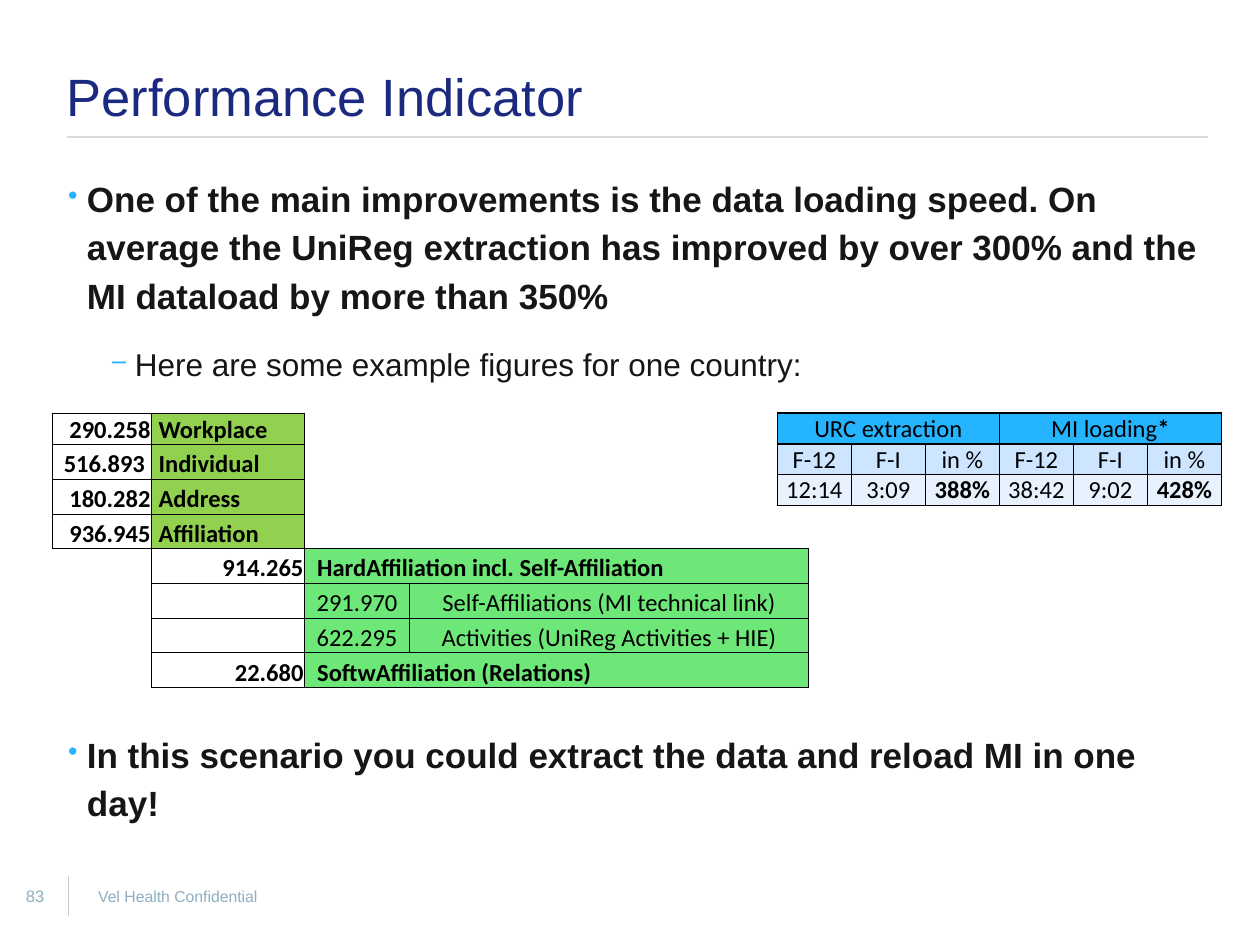
from dataclasses import dataclass
from typing import Optional

from lxml.etree import SubElement
from pptx import Presentation
from pptx.dml.color import RGBColor
from pptx.enum.shapes import MSO_CONNECTOR
from pptx.enum.text import MSO_ANCHOR, PP_ALIGN
from pptx.oxml import parse_xml
from pptx.oxml.ns import nsdecls, qn
from pptx.util import Pt

NAVY = RGBColor(0x1C, 0x29, 0x80)
INK = RGBColor(0x16, 0x17, 0x14)
BLACK = RGBColor(0, 0, 0)
WHITE = RGBColor(0xFF, 0xFF, 0xFF)
FOOTER_BLUE = RGBColor(0x8E, 0xAF, 0xBF)
SKY = RGBColor(0x25, 0xB4, 0xFF)
PALE_BLUE = RGBColor(0xCD, 0xE5, 0xFF)
FAINT_BLUE = RGBColor(0xE8, 0xF2, 0xFF)
OLIVE = RGBColor(0x92, 0xD0, 0x50)
GREEN = RGBColor(0x6D, 0xE7, 0x78)
TITLE_RULE = RGBColor(0xD9, 0xDA, 0xD5)
FOOTER_RULE = RGBColor(0xCA, 0xCC, 0xC5)
PLAIN_TABLE_STYLE = "{2D5ABB26-0587-4C30-8999-92F81FD0307C}"


@dataclass
class Cell:
    row: int
    column: int
    text: str = ""
    fill: RGBColor = WHITE
    align: PP_ALIGN = PP_ALIGN.CENTER
    bold: bool = False
    span: int = 1
    left: float = 0.7
    right: float = 0.7
    bold_suffix: str = ""


@dataclass
class SlideBuilder:
    slide: object
    font: str = "Arial"
    table_font: str = "Calibri"
    table_size: float = 14

    def style(self, paragraph, size, color, bold=False, font=None):
        paragraph.font.name = font or self.font
        paragraph.font.size = Pt(size)
        paragraph.font.bold = bold
        paragraph.font.color.rgb = color

    def frame(self, left, top, width, height, anchor=MSO_ANCHOR.TOP, inset=(0, 0)):
        """Add a wrapping text box; inset is horizontal, vertical."""
        box = self.slide.shapes.add_textbox(Pt(left), Pt(top), Pt(width), Pt(height))
        frame = box.text_frame
        frame.word_wrap = True
        frame.vertical_anchor = anchor
        frame.margin_left = frame.margin_right = Pt(inset[0])
        frame.margin_top = frame.margin_bottom = Pt(inset[1])
        return frame

    def text(self, words, area, size, color, align=PP_ALIGN.LEFT, spacing=1.0, **box):
        paragraph = self.frame(*area, **box).paragraphs[0]
        paragraph.text = words
        paragraph.alignment = align
        paragraph.line_spacing = spacing
        self.style(paragraph, size, color)

    def bullet(self, paragraph, words, mark, margin, hanging, size, bold, before, level=0):
        paragraph.text = words
        paragraph.level = level
        properties = paragraph._p.get_or_add_pPr()
        properties.set("marL", str(Pt(margin)))
        properties.set("indent", str(-Pt(hanging)))
        color = SubElement(properties, qn("a:buClr"))
        SubElement(color, qn("a:srgbClr"), val=str(SKY))
        SubElement(properties, qn("a:buSzPct"), val="80000")
        SubElement(properties, qn("a:buChar"), char=mark)
        paragraph.line_spacing = 1.15
        paragraph.space_before = Pt(before)
        self.style(paragraph, size, INK, bold)

    def line(self, start, end, color, width):
        line = self.slide.shapes.add_connector(
            MSO_CONNECTOR.STRAIGHT, *(Pt(value) for value in (*start, *end)))
        line.line.color.rgb = color
        line.line.width = Pt(width)
        SubElement(line._element.spPr, qn("a:effectLst"))

    def border(self, cell, width):
        properties = cell._tc.get_or_add_tcPr()
        for position, side in enumerate("LRTB"):
            properties.insert(position, parse_xml(
                f'<a:ln{side} {nsdecls("a")} w="{Pt(width)}"><a:solidFill>'
                f'<a:srgbClr val="{BLACK}"/></a:solidFill></a:ln{side}>'))

    def table(self, left, top, widths, heights, cells, border_width):
        frame = self.slide.shapes.add_table(
            len(heights), len(widths), Pt(left), Pt(top), Pt(sum(widths)), Pt(sum(heights)))
        table = frame.table
        table.first_row = table.horz_banding = False
        table._tbl.tblPr.find(qn("a:tableStyleId")).text = PLAIN_TABLE_STYLE
        for column, width in zip(table.columns, widths):
            column.width = Pt(width)
        for row, height in zip(table.rows, heights):
            row.height = Pt(height)
        for cell in table.iter_cells():
            cell.fill.background()
            cell.margin_left = cell.margin_right = cell.margin_top = Pt(0.7)
            cell.margin_bottom = 0
            ending = cell.text_frame.paragraphs[0]._p.get_or_add_endParaRPr()
            ending.set("sz", str(self.table_size * 100))
        for item in cells:
            self.fill_cell(table, item, border_width)

    def fill_cell(self, table, item: Cell, border_width):
        cell = table.cell(item.row, item.column)
        last = item.column + item.span - 1
        if item.span > 1:
            cell.merge(table.cell(item.row, last))
        for column in range(item.column, last + 1):
            self.border(table.cell(item.row, column), border_width)
        cell.fill.solid()
        cell.fill.fore_color.rgb = item.fill
        cell.vertical_anchor = MSO_ANCHOR.BOTTOM
        cell.margin_left, cell.margin_right = Pt(item.left), Pt(item.right)
        paragraph = cell.text_frame.paragraphs[0]
        paragraph.alignment = item.align
        self.style(paragraph, self.table_size, BLACK, item.bold, self.table_font)
        if item.text:
            paragraph.add_run().text = item.text
        if item.bold_suffix:
            suffix = paragraph.add_run()
            suffix.text = item.bold_suffix
            suffix.font.bold = True


def record_cells():
    """Counts per record type, with affiliations broken down below."""
    cells = []
    totals = [("290.258", "Workplace"), ("516.893", "Individual"),
              ("180.282", "Address"), ("936.945", "Affiliation")]
    for row, (count, name) in enumerate(totals):
        right = 3.9 if name == "Individual" else 0.7
        cells.append(Cell(row, 0, count, align=PP_ALIGN.RIGHT, bold=True, right=right))
        cells.append(Cell(row, 1, name, OLIVE, PP_ALIGN.LEFT, True, left=3.9))
    for row, count, name in [(4, "914.265", "HardAffiliation incl. Self-Affiliation"),
                             (7, "22.680", "SoftwAffiliation (Relations)")]:
        cells.append(Cell(row, 1, count, align=PP_ALIGN.RIGHT, bold=True))
        cells.append(Cell(row, 2, name, GREEN, PP_ALIGN.LEFT, True, span=5, left=7.1))
    for row, count, name in [(5, "291.970", "Self-Affiliations (MI technical link)"),
                             (6, "622.295", "Activities (UniReg Activities + HIE)")]:
        cells.append(Cell(row, 1))
        cells.append(Cell(row, 2, count, GREEN, span=2))
        cells.append(Cell(row, 4, name, GREEN, span=3))
    return cells


def timing_cells():
    cells = [Cell(0, 0, "URC extraction", SKY, span=3),
             Cell(0, 3, "MI loading", SKY, span=3, bold_suffix="*")]
    for column, name in enumerate(["F-12", "F-I", "in %"] * 2):
        cells.append(Cell(1, column, name, PALE_BLUE))
    for column, value in enumerate(["12:14", "3:09", "388%", "38:42", "9:02", "428%"]):
        cells.append(Cell(2, column, value, FAINT_BLUE, bold=value.endswith("%")))
    return cells


def main():
    presentation = Presentation()
    presentation.slide_width, presentation.slide_height = Pt(720), Pt(540)
    builder = SlideBuilder(presentation.slides.add_slide(presentation.slide_layouts[6]))

    builder.text("83", (11.5, 506, 17.3, 11.5), 9.5, FOOTER_BLUE, PP_ALIGN.CENTER)
    builder.line((39, 500.4), (39, 523.4), FOOTER_RULE, 0.75)
    builder.line((38.2, 78.5), (690.5, 78.5), TITLE_RULE, 1.25)

    body = builder.frame(38.9, 97.9, 652.3, 442)
    builder.bullet(
        body.paragraphs[0],
        "One of the main improvements is the data loading speed. On average the UniReg "
        "extraction has improved by over 300% and the MI dataload by more than 350%",
        "•", 10.8, 10.8, 20, True, 0)
    builder.bullet(body.add_paragraph(), "Here are some example figures for one country:",
                   "–", 38.2, 13, 18, False, 13, level=1)
    builder.bullet(
        body.add_paragraph(),
        "In this scenario you could extract the data and reload MI in one day!",
        "•", 10.8, 10.8, 20, True, 197)

    builder.text("Vel Health Confidential", (49, 497.5, 450.7, 28.8), 9, FOOTER_BLUE,
                 anchor=MSO_ANCHOR.MIDDLE, inset=(7.2, 3.6))
    builder.text("Performance Indicator", (38.2, 5.8, 652.3, 67), 30, NAVY,
                 spacing=0.9, anchor=MSO_ANCHOR.BOTTOM)

    builder.table(30.2, 236, [56.6, 87.4, 31.7, 28.1, 49, 77.8, 101.5],
                  [18] + [19.86] * 7, record_cells(), 0.5)
    builder.table(444.2, 236, [42.3] * 6, [17.6] * 3, timing_cells(), 1)
    presentation.save("out.pptx")


if __name__ == "__main__":
    main()
